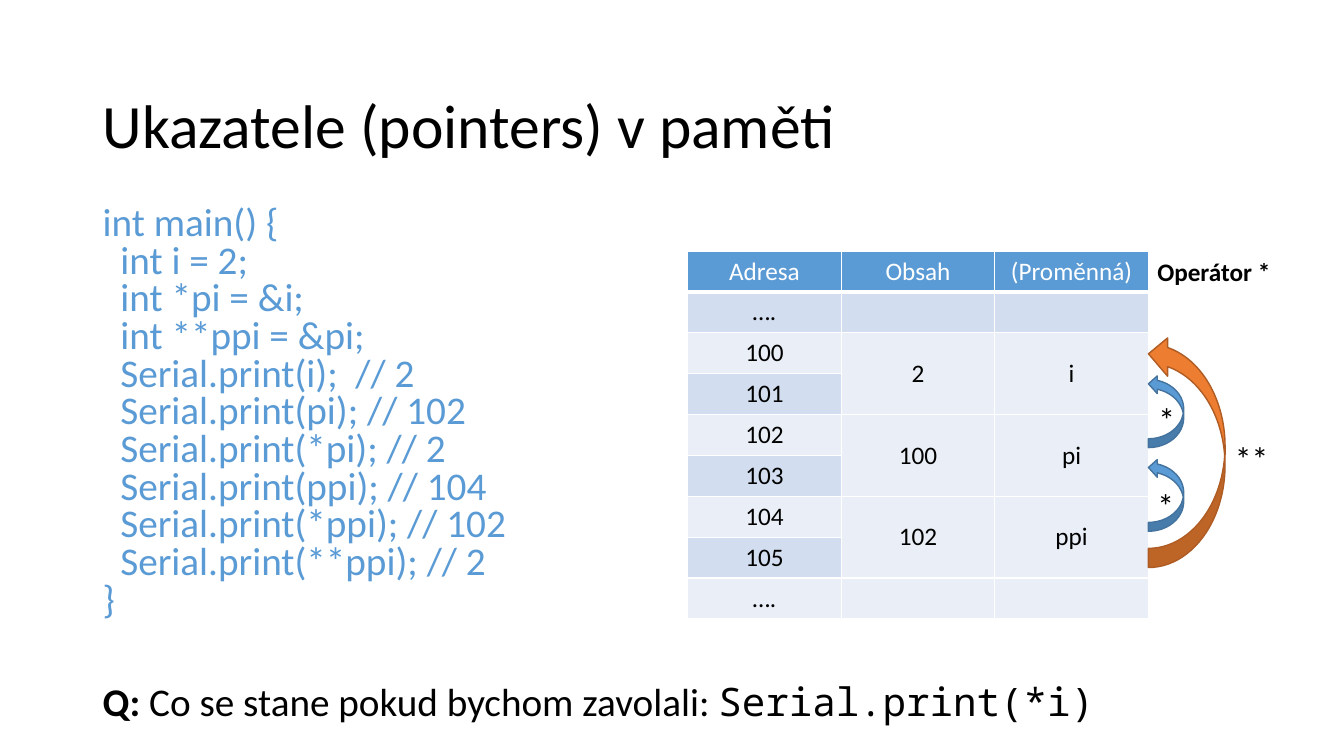
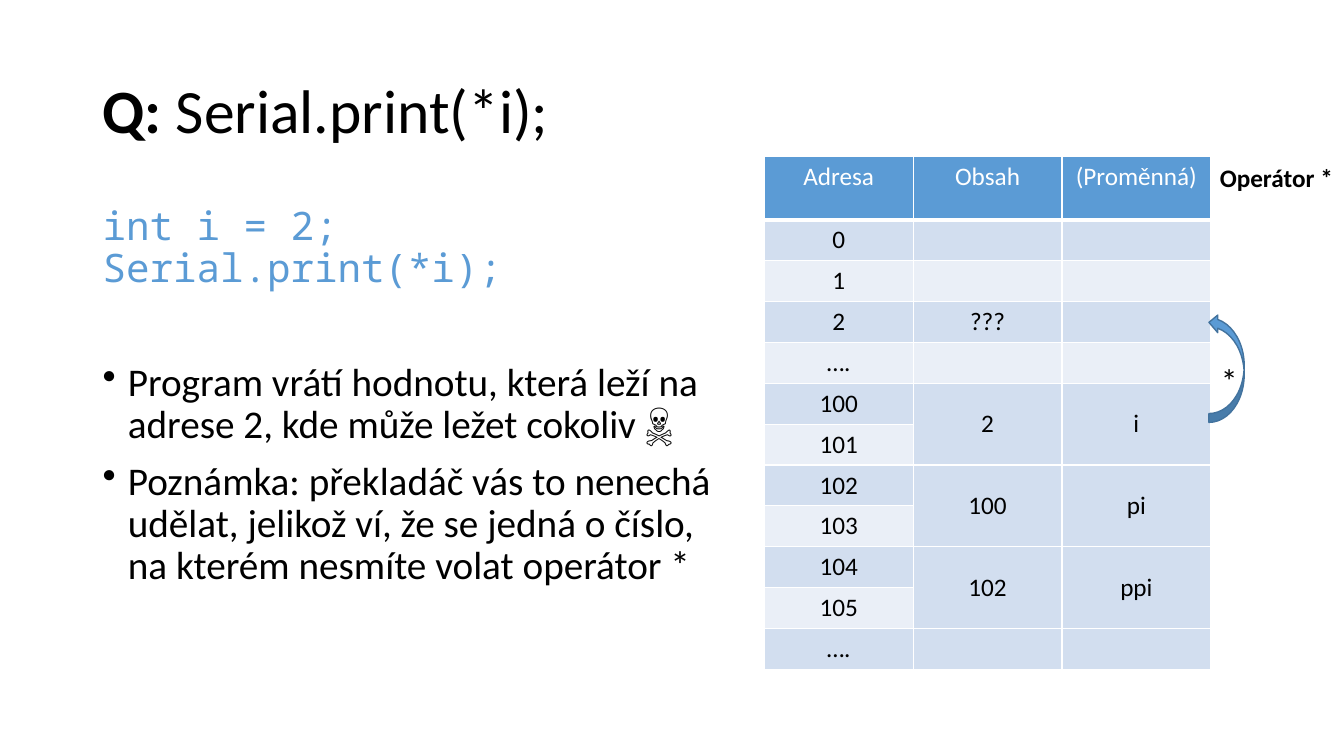
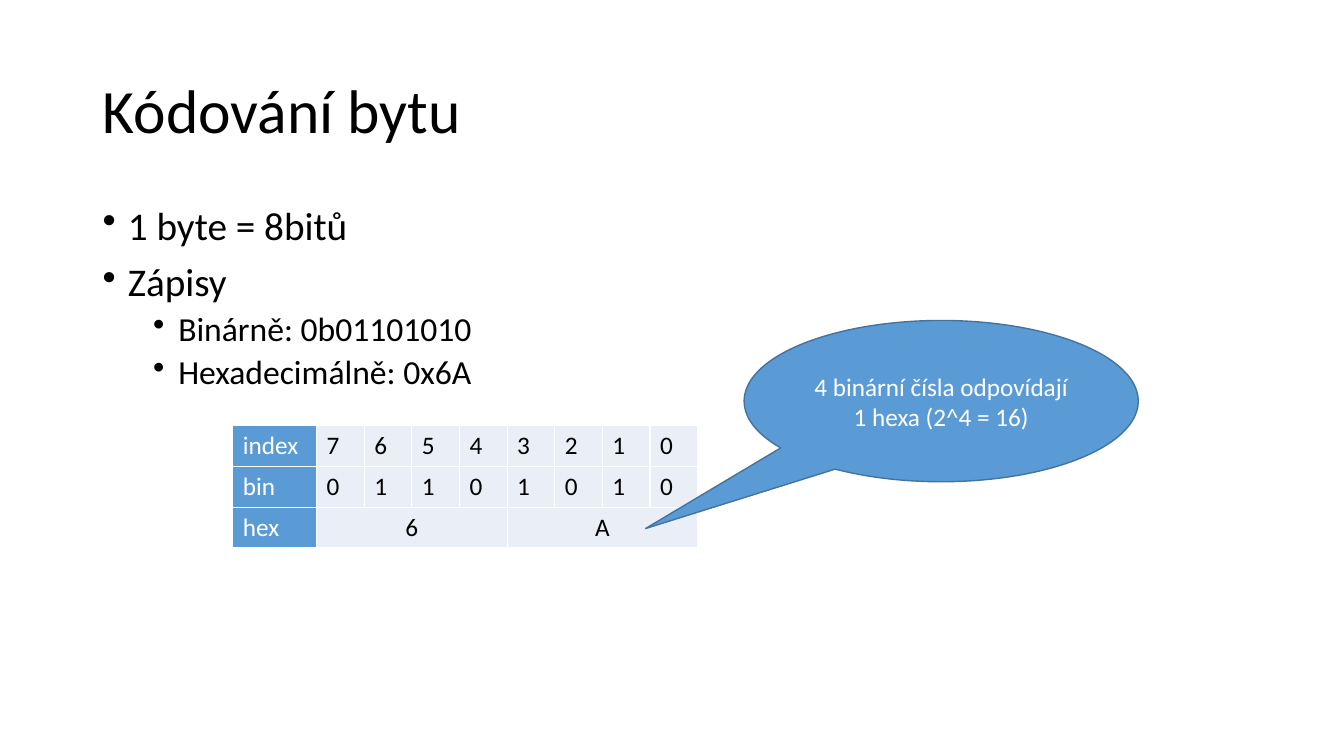
import dataclasses

import pptx
import pptx.dml.color
import pptx.enum.shapes
import pptx.enum.text
import pptx.oxml
import pptx.oxml.ns
import pptx.util

Inches = pptx.util.Inches
Pt = pptx.util.Pt
Color = pptx.dml.color.RGBColor
Shapes = pptx.enum.shapes.MSO_SHAPE
Align = pptx.enum.text.PP_ALIGN
Anchor = pptx.enum.text.MSO_ANCHOR


@dataclasses.dataclass(frozen=True)
class Theme:
    text: Color = Color.from_string("000000")
    white: Color = Color.from_string("FFFFFF")
    blue: Color = Color.from_string("5B9BD5")
    blue_line: Color = Color.from_string("43739E")
    orange: Color = Color.from_string("ED7D31")
    orange_line: Color = Color.from_string("AF5C24")
    band_dark: Color = Color.from_string("D2DEEF")
    band_light: Color = Color.from_string("EAEFF7")
    font: str = "Calibri"
    mono: str = "Noto Sans Mono"
    title_size: int = 44
    body_size: int = 28
    sub_size: int = 24
    small_size: int = 18
    row_height: int = Inches(3.65) // 9


theme = Theme()


@dataclasses.dataclass
class Run:
    text: str
    size: int = theme.body_size
    color: Color = theme.text
    bold: bool = False
    font: str = theme.font


@dataclasses.dataclass
class Paragraph:
    runs: list
    space_before: int = 0
    bullet_indent: float = 0


def fill_text(frame, paragraphs, line_spacing=1.0, align=Align.LEFT):
    """Write paragraphs of runs; a newline inside a run is a line break."""
    for index, content in enumerate(paragraphs):
        paragraph = frame.paragraphs[0] if index == 0 else frame.add_paragraph()
        paragraph.alignment = align
        paragraph.line_spacing = line_spacing
        paragraph.space_before = Pt(content.space_before)
        if content.bullet_indent:
            properties = paragraph._p.get_or_add_pPr()
            properties.set("marL", str(Inches(content.bullet_indent)))
            properties.set("indent", str(-Inches(0.25)))
            bullet = pptx.oxml.parse_xml(f'<a:buChar {pptx.oxml.ns.nsdecls("a")} char="•"/>')
            properties.append(bullet)
        for piece in content.runs:
            for number, line in enumerate(piece.text.split("\n")):
                if number:
                    paragraph.add_line_break()
                run = paragraph.add_run()
                run.text = line
                run.font.size = Pt(piece.size)
                run.font.name = piece.font
                run.font.bold = piece.bold
                run.font.color.rgb = piece.color


def add_grid(slide, left, top, widths, rows, merges, header_row=True, header_height=theme.row_height):
    """Add a table headed by its first row (banded, centred) or its first column."""
    heights = [header_height] + [theme.row_height] * (len(rows) - 1)
    frame = slide.shapes.add_table(len(rows), len(widths), Inches(left), Inches(top), sum(widths), sum(heights))
    table = frame.table
    table.first_row = table.horz_banding = False
    for column, width in zip(table.columns, widths):
        column.width = width
    for row, height in zip(table.rows, heights):
        row.height = height
    for first_row, first_column, last_row, last_column in merges:
        table.cell(first_row, first_column).merge(table.cell(last_row, last_column))
    for row, values in enumerate(rows):
        for column, value in enumerate(values):
            cell = table.cell(row, column)
            is_header = (row if header_row else column) == 0
            band = theme.band_dark if header_row and row % 2 else theme.band_light
            cell.fill.solid()
            cell.fill.fore_color.rgb = theme.blue if is_header else band
            cell.vertical_anchor = Anchor.TOP if is_header else Anchor.MIDDLE
            for position, side in enumerate("LRTB"):
                thick = header_row and (row, side) in ((0, "B"), (1, "T"))
                border = pptx.oxml.parse_xml(
                    f'<a:ln{side} {pptx.oxml.ns.nsdecls("a")} w="{Pt(3 if thick else 1)}">'
                    f'<a:solidFill><a:srgbClr val="{theme.white}"/></a:solidFill></a:ln{side}>')
                cell._tc.get_or_add_tcPr().insert(position, border)
            if value:
                color = theme.white if is_header else theme.text
                centred = header_row or cell.is_merge_origin
                fill_text(cell.text_frame, [Paragraph([Run(value, theme.small_size, color)])],
                          align=Align.CENTER if centred else Align.LEFT)


presentation = pptx.Presentation()
presentation.slide_width = Inches(13.33)
presentation.slide_height = Inches(7.5)

code = """int main() {
  int i = 2;
  int *pi = &i;
  int **ppi = &pi;
  Serial.print(i);  // 2
  Serial.print(pi); // 102
  Serial.print(*pi); // 2
  Serial.print(ppi); // 104
  Serial.print(*ppi); // 102
  Serial.print(**ppi); // 2
}"""

# Title top, title runs, body width and height, body line spacing, body paragraphs
outlines = [
    (0.55, [Run("Ukazatele (pointers) v paměti", theme.title_size)], 12.02, 5.5, 0.8, [
        Paragraph([Run(code, color=theme.blue)]),
        Paragraph([Run("Q: ", bold=True), Run("Co se stane pokud bychom zavolali: "),
                   Run("Serial.print(*i)", font=theme.mono)], 47),
    ]),
    (0.4, [Run("Q: ", theme.title_size, bold=True), Run("Serial.print(*i);", theme.title_size)], 6.52, 4.76, 0.9, [
        Paragraph([Run("int i = 2;\nSerial.print(*i);", color=theme.blue, font=theme.mono)]),
        Paragraph([Run("Program vrátí hodnotu, která leží na adrese 2, kde může ležet cokoliv ☠")], 51, 0.25),
        Paragraph([Run("Poznámka: překladáč vás to nenechá udělat, jelikož ví, že se jedná o číslo, "
                       "na kterém nesmíte volat operátor *")], 10, 0.25),
    ]),
    (0.4, [Run("Kódování bytu", theme.title_size)], 11.5, 4.76, 0.9, [
        Paragraph([Run("1 byte = 8bitů")], 0, 0.25),
        Paragraph([Run("Zápisy")], 10, 0.25),
        Paragraph([Run("Binárně: 0b01101010", theme.sub_size)], 5, 0.75),
        Paragraph([Run("Hexadecimálně: 0x6A", theme.sub_size)], 5, 0.75),
    ]),
]
slides = []
for title_top, title_runs, body_width, body_height, spacing, body in outlines:
    slide = presentation.slides.add_slide(presentation.slide_layouts[6])
    slides.append(slide)
    title_box = slide.shapes.add_textbox(Inches(0.92), Inches(title_top), Inches(11.5), Inches(1.45))
    title_box.text_frame.word_wrap = True
    title_box.text_frame.vertical_anchor = Anchor.MIDDLE
    fill_text(title_box.text_frame, [Paragraph(title_runs)], 0.9)
    body_box = slide.shapes.add_textbox(Inches(0.92), Inches(2), Inches(body_width), Inches(body_height))
    body_box.text_frame.word_wrap = True
    fill_text(body_box.text_frame, body, spacing)
pointer_slide, question_slide, byte_slide = slides

# Memory tables: each variable takes two addresses
header = ("Adresa", "Obsah", "(Proměnná)")
gap = ("….", "", "")
variables = [
    ("100", "2", "i"), ("101", "", ""),
    ("102", "100", "pi"), ("103", "", ""),
    ("104", "102", "ppi"), ("105", "", ""),
]
low_addresses = [("0", "", ""), ("1", "", ""), ("2", "???", "")]
memory_tables = [
    (pointer_slide, 6.82, 2.49, 4.57, [header, gap], theme.row_height),
    (question_slide, 7.58, 1.55, 4.43, [header, *low_addresses, gap], Inches(0.63)),
]
for slide, left, top, width, leading_rows, header_height in memory_tables:
    start = len(leading_rows)
    merges = [(row, column, row + 1, column)
              for row in range(start, start + len(variables), 2) for column in (1, 2)]
    add_grid(slide, left, top, [Inches(width) // 3] * 3, [*leading_rows, *variables, gap],
             merges, header_height=header_height)

# Dereference arrows
for slide, left, top, width, height, fill, line in [
    (pointer_slide, 11.39, 3.72, 0.35, 0.72, theme.blue, theme.blue_line),
    (pointer_slide, 11.39, 4.55, 0.35, 0.72, theme.blue, theme.blue_line),
    (pointer_slide, 11.39, 3.32, 0.76, 2.31, theme.orange, theme.orange_line),
    (question_slide, 11.99, 3.11, 0.35, 1.08, theme.blue, theme.blue_line),
]:
    arrow = slide.shapes.add_shape(Shapes.CURVED_RIGHT_ARROW, Inches(left), Inches(top), Inches(width), Inches(height))
    arrow.rotation = 180
    arrow.shadow.inherit = False
    arrow.fill.solid()
    arrow.fill.fore_color.rgb = fill
    arrow.line.color.rgb = line
    arrow.line.width = Pt(1)

star, double_star = Run("*", theme.sub_size), Run("**", theme.sub_size)
operator = Run("Operátor *", theme.small_size, bold=True)
for slide, left, top, label in [
    (pointer_slide, 12.15, 4.3, double_star),
    (pointer_slide, 11.39, 3.91, star),
    (pointer_slide, 11.38, 4.76, star),
    (pointer_slide, 11.38, 2.49, operator),
    (question_slide, 12, 1.56, operator),
    (question_slide, 12.01, 3.52, star),
]:
    width, height = (1.33, 0.4) if label is operator else (0.78, 0.5)
    label_box = slide.shapes.add_textbox(Inches(left), Inches(top), Inches(width), Inches(height))
    label_box.text_frame.word_wrap = label is not operator
    fill_text(label_box.text_frame, [Paragraph([label])])

# Byte table: four bits make one hexadecimal digit
byte_rows = [
    ["index", *"76543210"],
    ["bin", *"01101010"],
    ["hex", "6", "", "", "", "A", "", "", ""],
]
bit_width = Inches(4.61 - 0.83) // 8
add_grid(byte_slide, 2.31, 4.22, [Inches(0.83)] + [bit_width] * 8, byte_rows,
         [(2, 1, 2, 4), (2, 5, 2, 8)], header_row=False)

callout = byte_slide.shapes.add_shape(Shapes.OVAL_CALLOUT, Inches(7.38), Inches(3.18), Inches(3.91), Inches(1.6))
callout.adjustments[0] = -0.75
callout.adjustments[1] = 0.79
callout.shadow.inherit = False
callout.fill.solid()
callout.fill.fore_color.rgb = theme.blue
callout.line.color.rgb = theme.blue_line
callout.line.width = Pt(1)
callout.text_frame.word_wrap = True
callout.text_frame.vertical_anchor = Anchor.MIDDLE
callout_run = Run("4 binární čísla odpovídají 1 hexa (2^4 = 16)", theme.small_size, theme.white)
fill_text(callout.text_frame, [Paragraph([callout_run])], align=Align.CENTER)

presentation.save("out.pptx")
